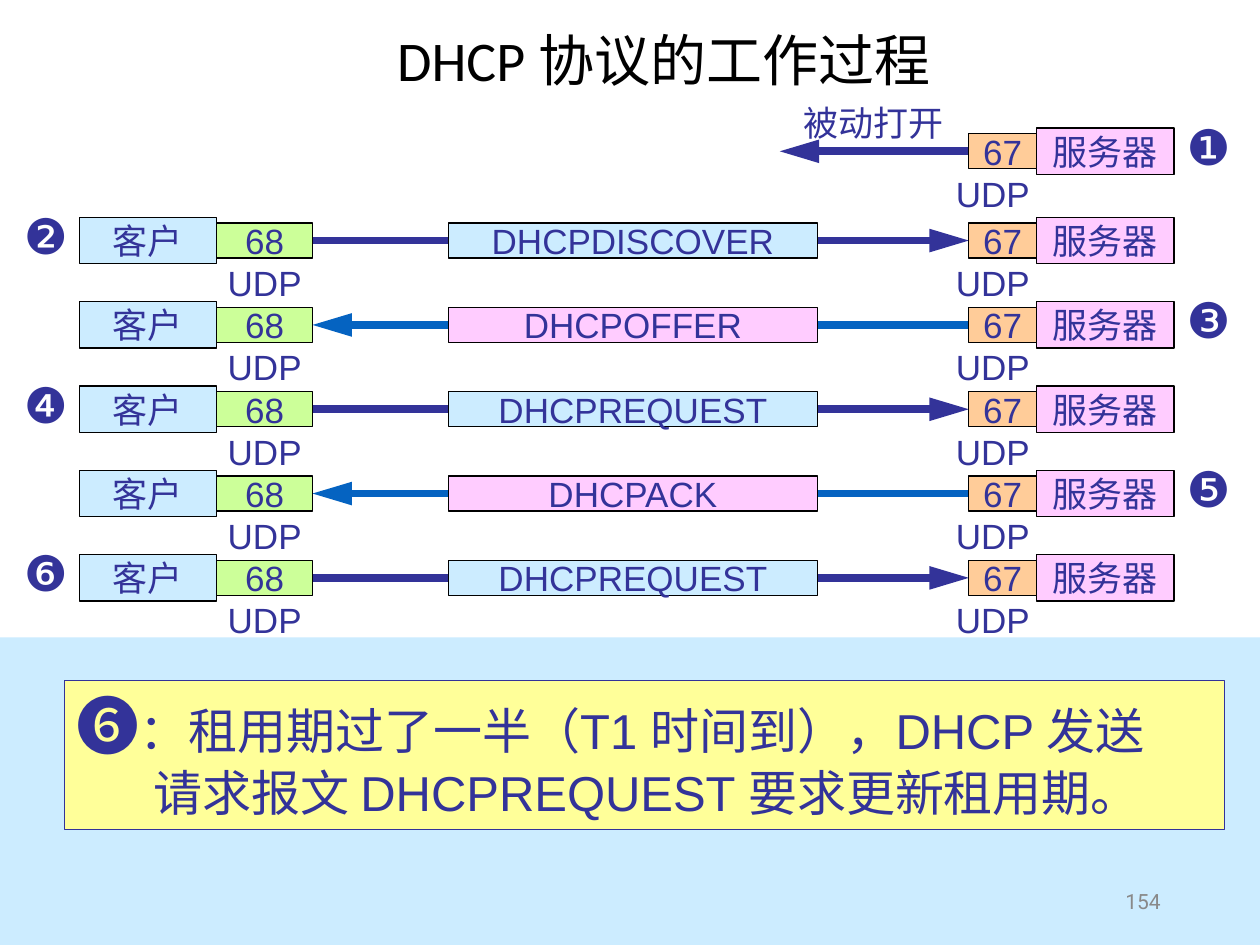
from dataclasses import dataclass
from typing import Any, NamedTuple, Optional

from lxml.etree import SubElement
from pptx import Presentation
from pptx.dml.color import RGBColor
from pptx.enum.shapes import MSO_CONNECTOR as Connector, MSO_SHAPE as Preset
from pptx.enum.text import MSO_ANCHOR as Anchor, PP_ALIGN as Align
from pptx.oxml.ns import qn
from pptx.util import Cm, Pt


@dataclass(frozen=True)
class Theme:
    ink: str = "333399"
    black: str = "000000"
    grey: str = "898989"
    reply: str = "0563C1"
    blue: str = "CCECFF"
    pink: str = "FFCCFF"
    orange: str = "FFCC99"
    green: str = "CCFF99"
    yellow: str = "FFFF99"
    font: str = "Arial"
    title_font: str = "Calibri"
    number_font: str = "Roboto"
    title: int = 32
    label: int = 20
    badge: int = 28
    note: int = 28
    note_badge: int = 36
    number: int = 12
    outline: float = 0.75
    arrow: float = 4.5


class Area(NamedTuple):
    left: float
    top: float
    width: float
    height: float

    def lengths(self) -> list:
        return [Cm(value) for value in self]


class Column(NamedTuple):
    left: float
    width: float
    height: float

    def centred_on(self, middle: float) -> Area:
        return Area(self.left, middle - self.height / 2, self.width, self.height)


class Message(NamedTuple):
    name: str
    badge: str
    from_client: bool


THEME = Theme()
CLIENT = Column(1.6, 2.77, 0.94)
CLIENT_PORT = Column(4.37, 1.93, 0.71)
MESSAGE = Column(9.04, 7.44, 0.71)
SERVER_PORT = Column(19.53, 1.37, 0.71)
SERVER = Column(20.9, 2.77, 0.94)
CLIENT_EDGE = CLIENT_PORT.left + CLIENT_PORT.width
CLIENT_BADGE_LEFT, SERVER_BADGE_LEFT = 0.23, 23.67
CLIENT_UDP_LEFT, SERVER_UDP_LEFT = 4.34, 19.02
OPEN_ROW, FIRST_ROW, ROW_PITCH = 3.05, 4.85, 1.7
MESSAGES = [
    Message("DHCPDISCOVER", "❷", True),
    Message("DHCPOFFER", "❸", False),
    Message("DHCPREQUEST", "❹", True),
    Message("DHCPACK", "❺", False),
    Message("DHCPREQUEST", "❻", True),
]


def apply_format(target: Any, values: dict) -> None:
    for name, value in values.items():
        setattr(target, name, value)


def add_run(paragraph: Any, text: str, size: int, font: str = THEME.font,
            color: str = THEME.ink) -> None:
    run = paragraph.add_run()
    run.text = text
    apply_format(run.font, {"size": Pt(size), "name": font})
    run.font.color.rgb = RGBColor.from_string(color)


def add_text(slide: Any, area: Area, text: str, size: int = THEME.label,
             font: str = THEME.font, color: str = THEME.ink,
             frame_format: Optional[dict] = None,
             paragraph_format: Optional[dict] = None) -> None:
    frame = slide.shapes.add_textbox(*area.lengths()).text_frame
    apply_format(frame, {"word_wrap": False, **(frame_format or {})})
    paragraph = frame.paragraphs[0]
    apply_format(paragraph, paragraph_format or {})
    add_run(paragraph, text, size, font, color)


def add_box(slide: Any, area: Area, fill: str, line: Optional[str] = None) -> Any:
    shape = slide.shapes.add_shape(Preset.RECTANGLE, *area.lengths())
    shape.shadow.inherit = False
    shape.fill.solid()
    shape.fill.fore_color.rgb = RGBColor.from_string(fill)
    if line is None:
        shape.line.fill.background()
    else:
        shape.line.color.rgb = RGBColor.from_string(line)
        shape.line.width = Pt(THEME.outline)
    return shape


def add_label_box(slide: Any, area: Area, text: str, fill: str) -> None:
    frame = add_box(slide, area, fill, THEME.black).text_frame
    apply_format(frame, {"word_wrap": False, "vertical_anchor": Anchor.MIDDLE})
    paragraph = frame.paragraphs[0]
    paragraph.alignment = Align.CENTER
    add_run(paragraph, text, THEME.label)


def add_arrow(slide: Any, start: float, end: float, middle: float, color: str) -> None:
    arrow = slide.shapes.add_connector(
        Connector.STRAIGHT, Cm(start), Cm(middle), Cm(end), Cm(middle))
    arrow.line.color.rgb = RGBColor.from_string(color)
    arrow.line.width = Pt(THEME.arrow)
    properties = arrow.line._get_or_add_ln()
    SubElement(properties, qn("a:tailEnd"), type="triangle", w="med", len="lg")
    SubElement(arrow._element.spPr, qn("a:effectLst"))


def add_udp(slide: Any, left: float, middle: float) -> None:
    add_text(slide, Area(left, middle + 0.3, 2, 1.09), "UDP")


def add_badge(slide: Any, left: float, middle: float, text: str) -> None:
    add_text(slide, Area(left, middle - 0.83, 1.4, 1.45), text, THEME.badge)


def add_client(slide: Any, middle: float) -> None:
    add_label_box(slide, CLIENT.centred_on(middle), "客户", THEME.blue)
    add_label_box(slide, CLIENT_PORT.centred_on(middle), "68", THEME.green)
    add_udp(slide, CLIENT_UDP_LEFT, middle)


def add_server(slide: Any, middle: float) -> None:
    add_label_box(slide, SERVER.centred_on(middle), "服务器", THEME.pink)
    add_label_box(slide, SERVER_PORT.centred_on(middle), "67", THEME.orange)
    add_udp(slide, SERVER_UDP_LEFT, middle)


def add_exchange(slide: Any, message: Message, middle: float) -> None:
    ends = (CLIENT_EDGE, SERVER_PORT.left)
    if message.from_client:
        color, fill, badge_left = THEME.ink, THEME.blue, CLIENT_BADGE_LEFT
    else:
        ends = ends[::-1]
        color, fill, badge_left = THEME.reply, THEME.pink, SERVER_BADGE_LEFT
    add_arrow(slide, *ends, middle, color)
    add_label_box(slide, MESSAGE.centred_on(middle), message.name, fill)
    add_client(slide, middle)
    add_server(slide, middle)
    add_badge(slide, badge_left, middle, message.badge)


def add_note(slide: Any) -> None:
    add_box(slide, Area(0, 12.85, 25.4, 6.2), THEME.blue)
    frame = add_box(slide, Area(1.3, 13.72, 23.39, 3), THEME.yellow, THEME.ink).text_frame
    apply_format(frame, {"word_wrap": True, "vertical_anchor": Anchor.TOP})
    first, second = frame.paragraphs[0], frame.add_paragraph()
    for paragraph in (first, second):
        paragraph.alignment = Align.JUSTIFY
    second._p.get_or_add_pPr().set("marL", str(Cm(1.55)))
    add_run(first, "❻", THEME.note_badge)
    add_run(first, "：租用期过了一半（T1 时间到），DHCP 发送", THEME.note)
    add_run(second, "请求报文 DHCPREQUEST 要求更新租用期。", THEME.note)


def main() -> None:
    """Build the DHCP message exchange slide."""
    presentation = Presentation()
    apply_format(presentation, {"slide_width": Cm(25.4), "slide_height": Cm(19.05)})
    slide = presentation.slides.add_slide(presentation.slide_layouts[6])
    centred = {"word_wrap": True, "vertical_anchor": Anchor.MIDDLE}
    add_text(slide, Area(2.69, 0.53, 21.64, 1.5), "DHCP 协议的工作过程 ", THEME.title,
             THEME.title_font, THEME.black, centred,
             {"alignment": Align.CENTER, "line_spacing": 0.9})
    add_arrow(slide, SERVER_PORT.left, 15.72, OPEN_ROW, THEME.ink)
    add_server(slide, OPEN_ROW)
    add_badge(slide, SERVER_BADGE_LEFT, OPEN_ROW, "❶")
    add_text(slide, Area(15.95, 1.93, 3.33, 1.09), "被动打开")
    for row, message in enumerate(MESSAGES):
        add_exchange(slide, message, FIRST_ROW + row * ROW_PITCH)
    add_note(slide)
    add_text(slide, Area(17.93, 17.65, 5.72, 1.02), "154", THEME.number,
             THEME.number_font, THEME.grey, centred, {"alignment": Align.RIGHT})
    presentation.save("out.pptx")


if __name__ == "__main__":
    main()
